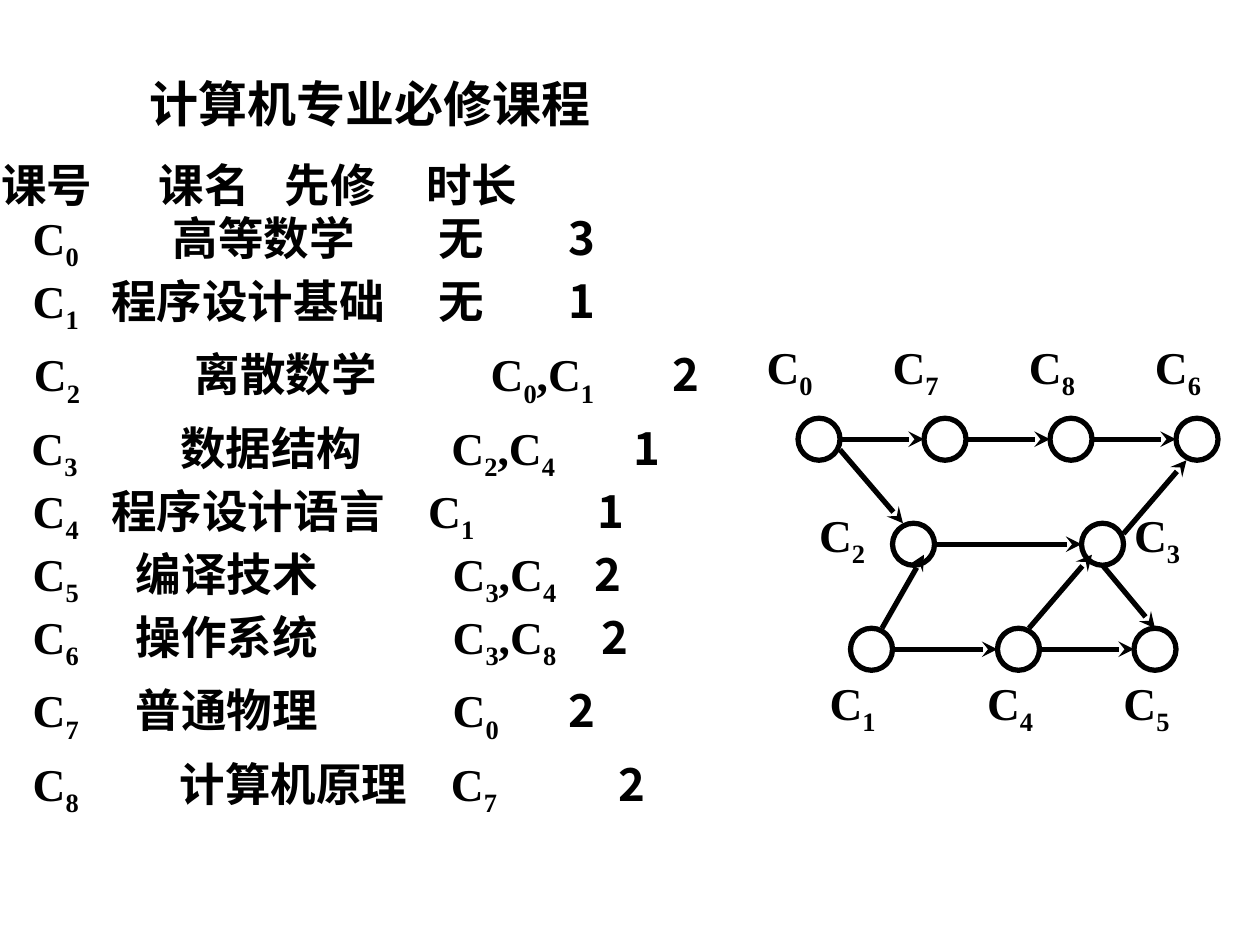
import itertools

import lxml.etree
import pptx
import pptx.dml.color
import pptx.enum.shapes
import pptx.enum.text
import pptx.oxml.ns
import pptx.util

Pt = pptx.util.Pt
qn = pptx.oxml.ns.qn
BLACK = pptx.dml.color.RGBColor(0, 0, 0)
CHINESE_FONT = "Noto Sans CJK SC"
LATIN_FONT = "Times New Roman"

presentation = pptx.Presentation()
presentation.slide_width = Pt(720)
presentation.slide_height = Pt(540)
slide = presentation.slides.add_slide(presentation.slide_layouts[6])


def add_line_of_text(left, top, width, height, size, font_name, stops=()):
    frame = slide.shapes.add_textbox(Pt(left), Pt(top), Pt(width), Pt(height)).text_frame
    frame.word_wrap = True
    frame.margin_left = frame.margin_right = frame.margin_top = frame.margin_bottom = 0
    paragraph = frame.paragraphs[0]
    if stops:
        properties = paragraph._p.get_or_add_pPr()
        tab_list = lxml.etree.SubElement(properties, qn("a:tabLst"))
        for stop in stops:
            lxml.etree.SubElement(tab_list, qn("a:tab"), pos=str(Pt(stop)), algn="l")
    paragraph.font.size = Pt(size)
    paragraph.font.bold = True
    paragraph.font.name = font_name
    paragraph.font.color.rgb = BLACK
    return paragraph


def add_cell(paragraph, text):
    if not text.strip().startswith("C"):
        run = paragraph.add_run()
        run.text = text
        run.font.name = CHINESE_FONT
        lxml.etree.SubElement(run.font._element, qn("a:ea"), typeface=CHINESE_FONT)
        return
    for is_subscript, characters in itertools.groupby(text, str.isdigit):
        run = paragraph.add_run()
        run.text = "".join(characters)
        if is_subscript:
            run.font._element.set("baseline", "-25000")


title = add_line_of_text(-36, 42, 495, 41, 28, CHINESE_FONT)
title.alignment = pptx.enum.text.PP_ALIGN.CENTER
add_cell(title, "计算机专业必修课程")

courses = [
    (0.7, 90, ("课号", "课名", "先修", "时长"), (90, 162, 243)),
    (18.7, 120, ("C0", "高等数学", "无", "3"), (80, 232, 306)),
    (18.7, 156, ("C1", "程序设计基础", "无", "1"), (45, 232, 306)),
    (19.4, 198, ("C2", "离散数学", "C0,C1", "2"), (92, 261, 365)),
    (18, 240, ("C3", "数据结构", "C2,C4", "1"), (85, 240, 344)),
    (18.7, 276, ("C4", "程序设计语言", "C1", "1"), (45, 226, 323)),
    (18.7, 312, ("C5", "编译技术", "C3,C4", "2"), (59, 240, 321)),
    (18.7, 348, ("C6", "操作系统", "C3,C8", "2"), (59, 240, 325)),
    (18.7, 390, ("C7", "普通物理", "C0", "2"), (59, 240, 306)),
    (18.7, 432, ("C8", "计算机原理", "C7", "2"), (84, 239, 335)),
]
for left, top, cells, stops in courses:
    paragraph = add_line_of_text(left, top, 416, 43, 26, LATIN_FONT, stops)
    add_cell(paragraph, cells[0])
    for cell in cells[1:]:
        add_cell(paragraph, "\t" + cell)

NODE_SIZE = 24
nodes = {
    "C0": (456, 239), "C7": (528, 239), "C8": (600, 239), "C6": (672, 239),
    "C2": (510, 299), "C3": (618, 299),
    "C1": (486, 359), "C4": (570, 359), "C5": (648, 359),
}
for left, top in nodes.values():
    node = slide.shapes.add_shape(
        pptx.enum.shapes.MSO_SHAPE.OVAL, Pt(left), Pt(top), Pt(NODE_SIZE), Pt(NODE_SIZE))
    node.shadow.inherit = False
    node.fill.background()
    node.line.color.rgb = BLACK
    node.line.width = Pt(3)

arrows = [
    (480, 257, 516, 299),
    (504, 359, 528, 317),
    (588, 359, 624, 317),
    (642, 305, 678, 263),
    (630, 323, 660, 359),
]
for source, target in (("C0", "C7"), ("C7", "C8"), ("C8", "C6"),
                       ("C2", "C3"), ("C1", "C4"), ("C4", "C5")):
    left, top = nodes[source]
    middle = top + NODE_SIZE / 2
    arrows.append((left + NODE_SIZE, middle, nodes[target][0], middle))
for ends in arrows:
    arrow = slide.shapes.add_connector(
        pptx.enum.shapes.MSO_CONNECTOR.STRAIGHT, *[Pt(value) for value in ends])
    arrow.line.color.rgb = BLACK
    arrow.line.width = Pt(3)
    lxml.etree.SubElement(arrow.line._get_or_add_ln(), qn("a:tailEnd"), type="stealth")
    lxml.etree.SubElement(arrow._element.spPr, qn("a:effectLst"))

labels = {
    "C0": (438, 193.5), "C7": (510, 193.5), "C8": (588, 193.5), "C6": (660, 193.5),
    "C2": (468, 289.5), "C3": (648, 289.5),
    "C1": (474, 385.5), "C4": (564, 385.5), "C5": (642, 385.5),
}
for code, (left, top) in labels.items():
    add_cell(add_line_of_text(left, top, 48, 35, 26, LATIN_FONT), code)

presentation.save("out.pptx")
